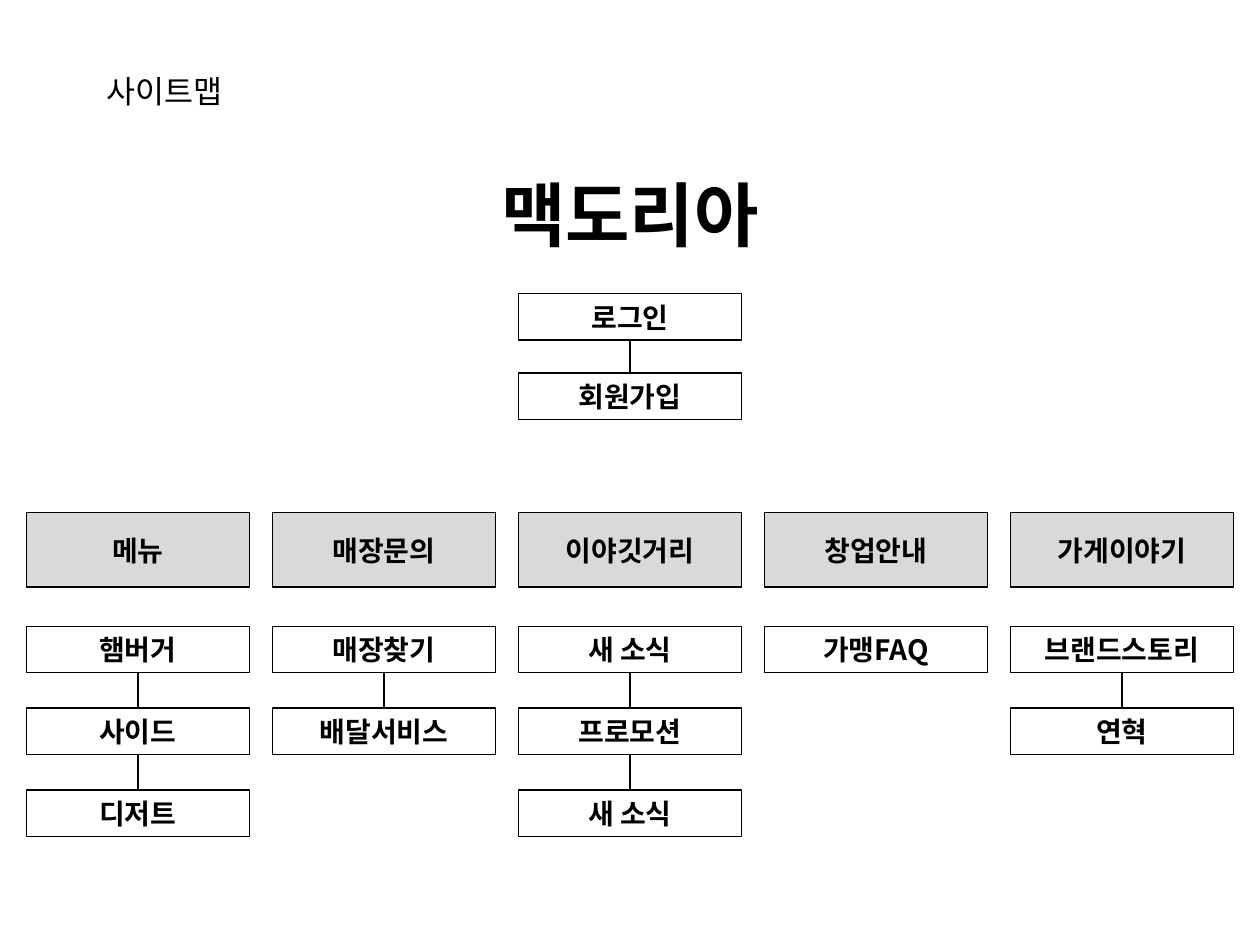
from lxml import etree
from pptx import Presentation
from pptx.dml.color import RGBColor
from pptx.enum.shapes import MSO_CONNECTOR, MSO_SHAPE
from pptx.enum.text import MSO_ANCHOR, PP_ALIGN
from pptx.oxml.ns import qn
from pptx.util import Inches, Pt

RECTANGLE, STRAIGHT = MSO_SHAPE.RECTANGLE, MSO_CONNECTOR.STRAIGHT
TOP, MIDDLE = MSO_ANCHOR.TOP, MSO_ANCHOR.MIDDLE
LEFT, CENTER = PP_ALIGN.LEFT, PP_ALIGN.CENTER

# Content
HEADING = "사이트맵"
SITE_NAME = "맥도리아"
ACCOUNT_PAGES = ["로그인", "회원가입"]
SECTIONS = [
    ("메뉴", ["햄버거", "사이드", "디저트"]),
    ("매장문의", ["매장찾기", "배달서비스"]),
    ("이야깃거리", ["새 소식", "프로모션", "새 소식"]),
    ("창업안내", ["가맹FAQ"]),
    ("가게이야기", ["브랜드스토리", "연혁"]),
]

THEME = {
    "font": "Noto Sans CJK KR",
    "ink": RGBColor(0x00, 0x00, 0x00),
    "page": RGBColor(0xFF, 0xFF, 0xFF),
    "section": RGBColor(0xD9, 0xD9, 0xD9),
    "heading_size": 18,
    "name_size": 40,
    "box_size": 16,
    "line_width": 0.75,
}

# Grid, in inches
SLIDE_W, SLIDE_H = 10, 7.5
BOX_W, MARGIN = 1.77, 0.21
COLUMN_STEP = (SLIDE_W - 2 * MARGIN - BOX_W) / (len(SECTIONS) - 1)
SECTION_Y, SECTION_H = 4.07, 0.59
PAGE_H = 0.37
PAGES_Y, PAGE_STEP = 4.97, 0.65
ACCOUNT_Y, ACCOUNT_STEP = 2.33, 0.63

prs = Presentation()
prs.slide_width, prs.slide_height = Inches(SLIDE_W), Inches(SLIDE_H)
slide = prs.slides.add_slide(prs.slide_layouts[6])


def write(frame, text, size, bold=True, align=CENTER, anchor=MIDDLE):
    frame.vertical_anchor = anchor
    paragraph = frame.paragraphs[0]
    paragraph.alignment = align
    run = paragraph.add_run()
    run.text = text
    run.font.name = THEME["font"]
    run.font.size = Pt(size)
    run.font.bold = bold
    run.font.color.rgb = THEME["ink"]
    # Korean glyphs take the East Asian typeface
    east_asian = etree.SubElement(run.font._element, qn("a:ea"))
    east_asian.set("typeface", THEME["font"])


def add_label(text, x, y, w, h, size, wrap, **style):
    label = slide.shapes.add_textbox(Inches(x), Inches(y), Inches(w), Inches(h))
    label.text_frame.word_wrap = wrap
    write(label.text_frame, text, size, anchor=TOP, **style)


def add_box(text, x, y, h, fill):
    box = slide.shapes.add_shape(
        RECTANGLE, Inches(x), Inches(y), Inches(BOX_W), Inches(h))
    box.shadow.inherit = False
    box.fill.solid()
    box.fill.fore_color.rgb = fill
    box.line.color.rgb = THEME["ink"]
    box.line.width = Pt(THEME["line_width"])
    frame = box.text_frame
    frame.word_wrap = True
    frame.margin_top = frame.margin_bottom = 0
    write(frame, text, THEME["box_size"])


def add_chain(pages, x, y, step):
    """Stack page boxes over one vertical line through their centres."""
    if len(pages) > 1:
        center = Inches(x + BOX_W / 2)
        bottom = y + step * (len(pages) - 1) + PAGE_H
        link = slide.shapes.add_connector(
            STRAIGHT, center, Inches(y), center, Inches(bottom))
        link.line.color.rgb = THEME["ink"]
        link.line.width = Pt(THEME["line_width"])
        etree.SubElement(link._element.spPr, qn("a:effectLst"))
    for row, page in enumerate(pages):
        add_box(page, x, y + row * step, PAGE_H, THEME["page"])


# Heading and site name
add_label(HEADING, 0.75, 0.52, 1.21, 0.4, THEME["heading_size"],
          wrap=False, bold=False, align=LEFT)
add_label(SITE_NAME, 0, 1.31, SLIDE_W, 1.45, THEME["name_size"], wrap=True)

# Account pages
add_chain(ACCOUNT_PAGES, (SLIDE_W - BOX_W) / 2, ACCOUNT_Y, ACCOUNT_STEP)

# Sections with their pages
for column, (section, pages) in enumerate(SECTIONS):
    x = MARGIN + column * COLUMN_STEP
    add_box(section, x, SECTION_Y, SECTION_H, THEME["section"])
    add_chain(pages, x, PAGES_Y, PAGE_STEP)

prs.save("out.pptx")
